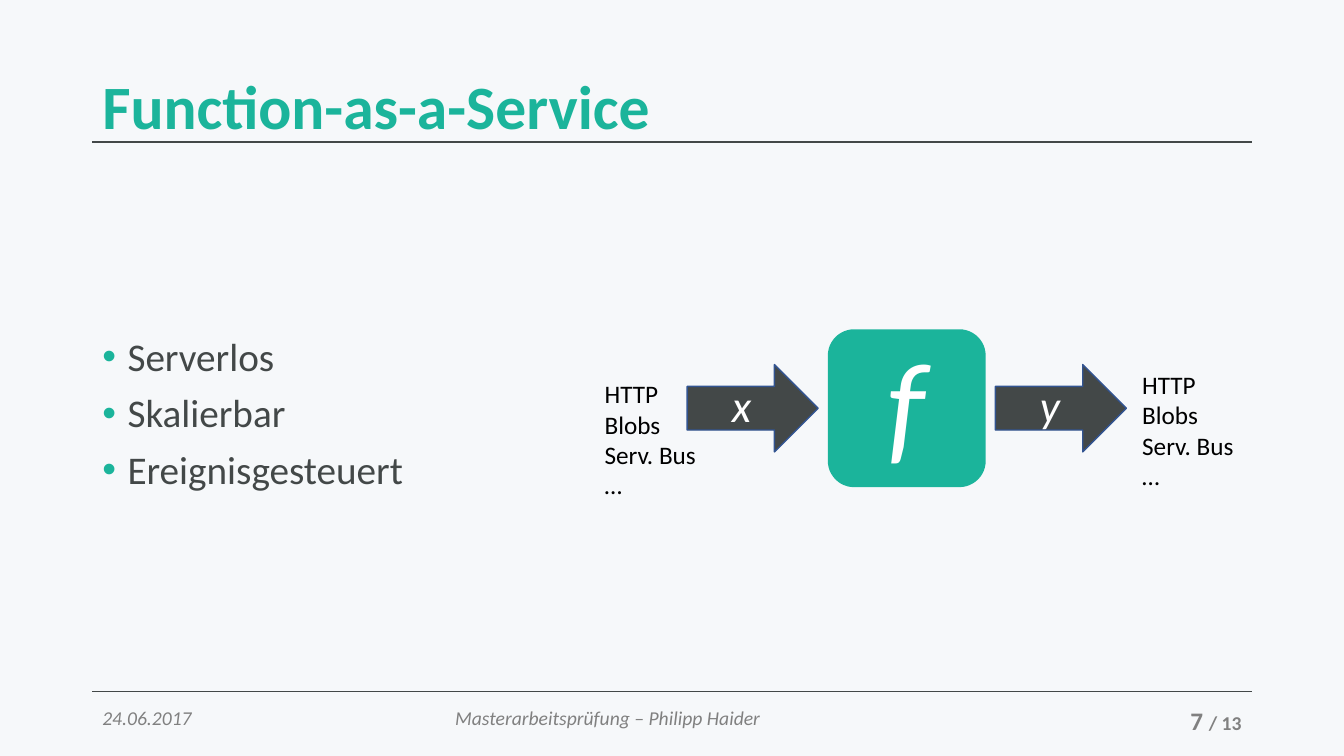
from pptx import Presentation
from pptx.dml.color import RGBColor
from pptx.enum.shapes import MSO_CONNECTOR, MSO_SHAPE
from pptx.enum.text import MSO_ANCHOR, MSO_AUTO_SIZE, PP_ALIGN
from pptx.oxml.ns import qn
from pptx.util import Inches, Pt
from lxml import etree

ARROW, BADGE = MSO_SHAPE.RIGHT_ARROW, MSO_SHAPE.ROUNDED_RECTANGLE
LINE = MSO_CONNECTOR.STRAIGHT
TOP, MIDDLE = MSO_ANCHOR.TOP, MSO_ANCHOR.MIDDLE
LEFT, CENTER, RIGHT = PP_ALIGN.LEFT, PP_ALIGN.CENTER, PP_ALIGN.RIGHT
GROW = MSO_AUTO_SIZE.SHAPE_TO_FIT_TEXT

PAPER = RGBColor(0xF6, 0xF8, 0xFA)
GREEN = RGBColor(0x1B, 0xB4, 0x9B)
DARK = RGBColor(0x43, 0x48, 0x48)
GRAY = RGBColor(0x80, 0x80, 0x80)
BLUE = RGBColor(0x32, 0x54, 0x91)
WHITE = RGBColor(0xFF, 0xFF, 0xFF)
BLACK = RGBColor(0, 0, 0)

FONT = "Calibri"
WIDTH, HEIGHT = Inches(13.333), Inches(7.5)
COLS, ROWS = 160, 90
EDGE, SPAN = 11, 138


def cells(x, y, w, h):
    """Turn a box in grid columns and rows into slide lengths."""
    return [int(x * WIDTH / COLS), int(y * HEIGHT / ROWS),
            int(w * WIDTH / COLS), int(h * HEIGHT / ROWS)]


def add_run(para, text, size, color, bold=False, italic=False):
    """Add one styled run to a paragraph."""
    run = para.add_run()
    run.text = text
    font = run.font
    font.name, font.size = FONT, Pt(size)
    font.bold, font.italic = bold, italic
    font.color.rgb = color


def add_text(slide, box, lines, align=LEFT, anchor=TOP):
    """Add a text box; each line is a list of runs."""
    frame = slide.shapes.add_textbox(*cells(*box)).text_frame
    frame.word_wrap = True
    frame.vertical_anchor = anchor
    for i, runs in enumerate(lines):
        para = frame.add_paragraph() if i else frame.paragraphs[0]
        para.alignment = align
        for run in runs:
            add_run(para, *run)
    return frame


def add_rule(slide, y):
    """Draw a thin rule across the content width."""
    x, top, w, _ = cells(EDGE, y, SPAN, 0)
    rule = slide.shapes.add_connector(LINE, x, top, x + w, top)
    rule.line.color.rgb = DARK
    rule.line.width = Pt(1)
    etree.SubElement(rule._element.spPr, qn("a:effectLst"))


def add_block(slide, kind, box, fill, edge, letter, size, foot):
    """Add a filled shape that holds one italic letter."""
    shape = slide.shapes.add_shape(kind, *cells(*box))
    shape.shadow.inherit = False
    shape.fill.solid()
    shape.fill.fore_color.rgb = fill
    if edge:
        shape.line.color.rgb = edge
        shape.line.width = Pt(1)
    else:
        shape.line.fill.background()
    frame = shape.text_frame
    frame.vertical_anchor = MIDDLE
    frame.margin_top, frame.margin_bottom = 0, Inches(foot)
    para = frame.paragraphs[0]
    para.alignment = CENTER
    add_run(para, letter, size, WHITE, False, True)


def add_title(slide, box, text):
    """Add the slide title and the rule under it."""
    frame = add_text(slide, box, [[(text, 44, GREEN, True)]], anchor=MIDDLE)
    frame.paragraphs[0].line_spacing = 0.9
    add_rule(slide, box[1] + 12.9)


def add_list(slide, box, items):
    """Add the list with green bullets."""
    frame = add_text(slide, box, [[(item, 28, DARK)] for item in items])
    for para in frame.paragraphs:
        para.line_spacing = 0.9
        para.space_after = Pt(10)
        props = para._p.get_or_add_pPr()
        props.set("marL", str(Inches(0.25)))
        props.set("indent", str(-Inches(0.25)))
        tint = etree.SubElement(props, qn("a:buClr"))
        etree.SubElement(tint, qn("a:srgbClr")).set("val", str(GREEN))
        etree.SubElement(props, qn("a:buFont")).set("typeface", "Arial")
        etree.SubElement(props, qn("a:buChar")).set("char", "•")


def add_flow(slide, box, items):
    """Add the function badge with its input, output and their sources."""
    x, y, w, side = box
    gap, long, tall, note = 1.15, 15.6, 10.4, 13.7
    mid = y + (side - tall) / 2
    start = x + 11
    badge = start + long + gap
    add_block(slide, BADGE, (badge, y, side, side), GREEN, None, "f", 88, 0.16)
    for left, letter in ((start, "x"), (badge + side + gap, "y")):
        add_block(slide, ARROW, (left, mid, long, tall), DARK, BLUE,
                  letter, 32, 0.08)
    for left, top in ((x + w - note, mid), (x, mid + 1.1)):
        frame = add_text(slide, (left, top, note, 15.7),
                         [[(item, 18, BLACK)] for item in items])
        frame.auto_size = GROW


def add_footer(slide, box):
    """Add the lower rule with date, talk and page number."""
    x, y, w, h = box
    side, wide = 36, 54
    add_rule(slide, y - 1.1)
    add_text(slide, (x, y, side, h), [[("24.06.2017", 14, GRAY, False, True)]])
    add_text(slide, (x + 42, y, wide, h),
             [[("Masterarbeitsprüfung – Philipp Haider", 14, GRAY, False, True)]])
    add_text(slide, (x + w - side, y, side, h),
             [[("7 ", 18, GRAY, True), ("/ 13", 14, GRAY, True)]], RIGHT)


def main():
    """Build and save the slide."""
    deck = Presentation()
    deck.slide_width, deck.slide_height = WIDTH, HEIGHT
    slide = deck.slides.add_slide(deck.slide_layouts[6])
    slide.background.fill.solid()
    slide.background.fill.fore_color.rgb = PAPER
    add_title(slide, (EDGE, 4, SPAN, 18.2), "Function-as-a-Service")
    add_list(slide, (EDGE, 39.6, 56, 41.4),
             ["Serverlos", "Skalierbar", "Ereignisgesteuert"])
    add_flow(slide, (70.8, 39.2, 77.7, 18.8),
             ["HTTP", "Blobs", "Serv. Bus", "…"])
    add_footer(slide, (EDGE, 83.4, SPAN, 4.8))
    deck.save("out.pptx")


if __name__ == "__main__":
    main()
